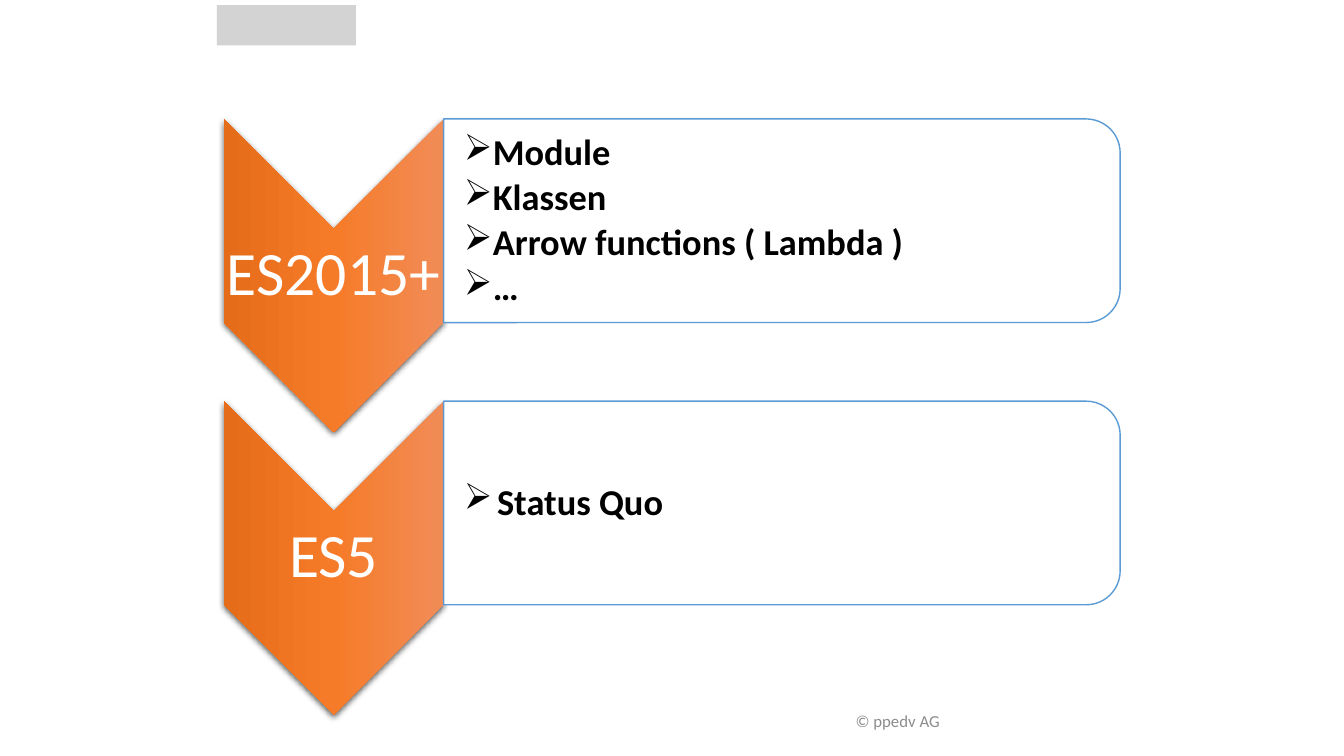
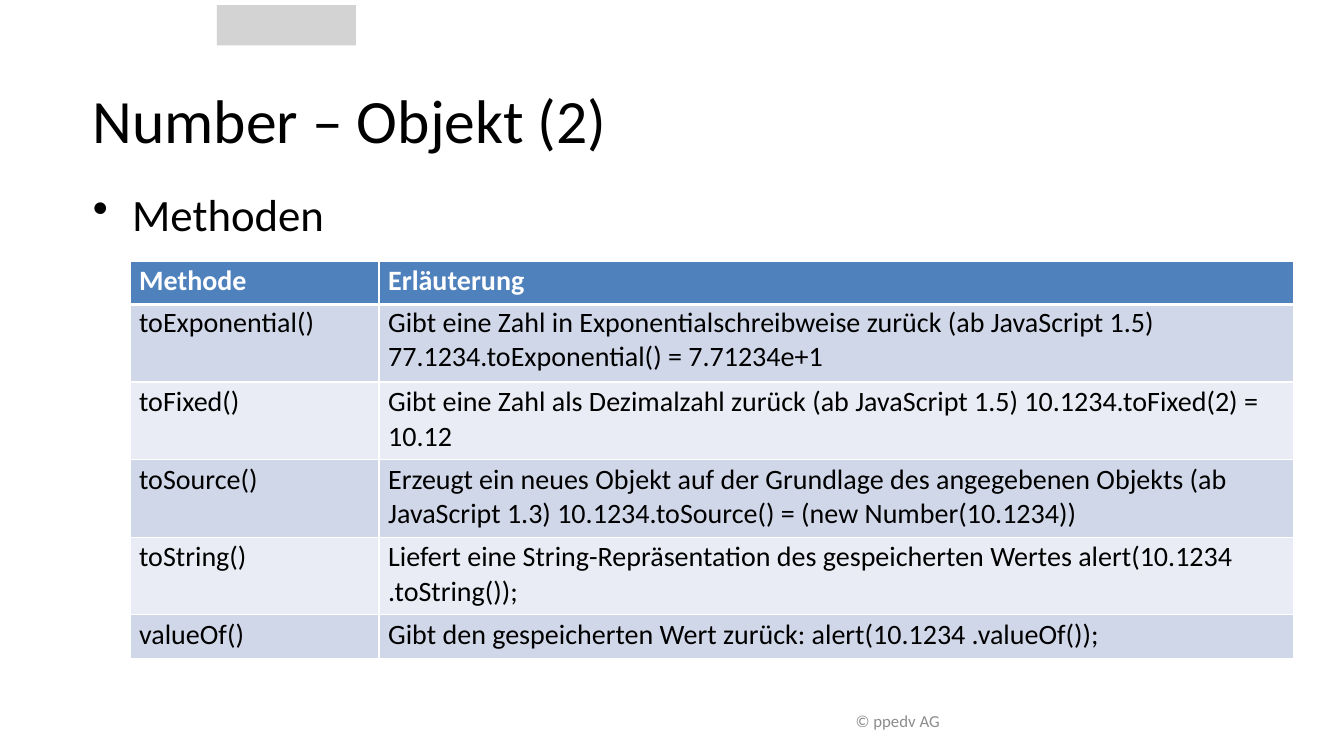
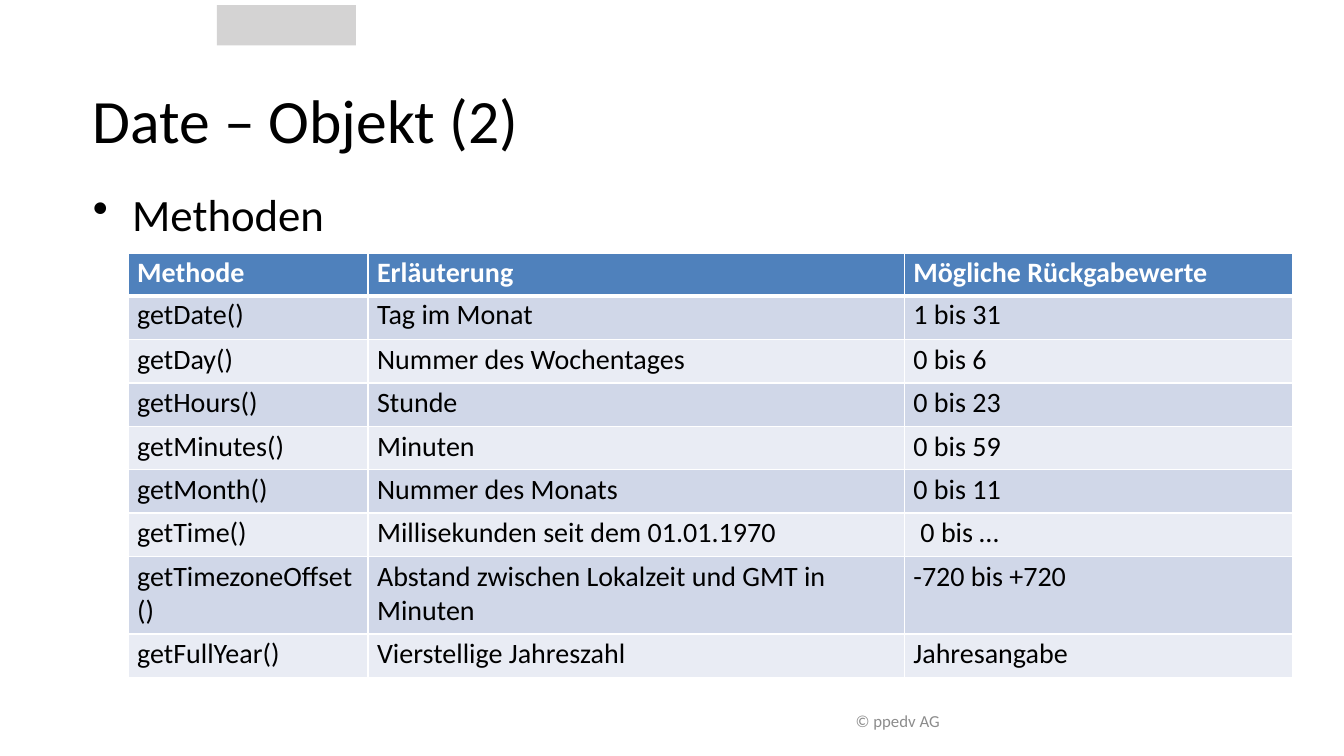
import pptx
import pptx.dml.color
import pptx.enum.shapes
import pptx.enum.text
import pptx.oxml
import pptx.oxml.ns
import pptx.util

FONT = "Calibri"
COLORS = {
    "text": "000000", "white": "FFFFFF", "footer": "8C8C8C", "tab": "D4D3D3",
    "header": "4F81BC", "odd": "D0D7E8", "even": "E9ECF4", "outline": "5B9BD5",
    "light": "F18C57", "mid": "F67B28", "dark": "E56C19",
}
FOOTER = "© ppedv AG"

VERSIONS = [
    ("ES2015+", ["Module", "Klassen", "Arrow functions ( Lambda )", "…"], 0.25),
    ("ES5", ["Status Quo"], 0.33),
]

METHOD_SLIDES = [
    {
        "title": "Number – Objekt (2)",
        "at": (1.29, 2.59),
        "cols": [2.47, 9.07],
        "two_line_rows": {1, 2, 3, 4},
        "rows": [
            ("Methode", "Erläuterung"),
            ("toExponential()", "Gibt eine Zahl in Exponentialschreibweise zurück (ab JavaScript 1.5) "
                                "77.1234.toExponential() = 7.71234e+1"),
            ("toFixed()", "Gibt eine Zahl als Dezimalzahl zurück (ab JavaScript 1.5) "
                          "10.1234.toFixed(2) = 10.12"),
            ("toSource()", "Erzeugt ein neues Objekt auf der Grundlage des angegebenen Objekts (ab\n"
                           "JavaScript 1.3) 10.1234.toSource() = (new Number(10.1234))"),
            ("toString()", "Liefert eine String-Repräsentation des gespeicherten Wertes "
                           "alert(10.1234\n.toString());"),
            ("valueOf()", "Gibt den gespeicherten Wert zurück: alert(10.1234 .valueOf());"),
        ],
    },
    {
        "title": "Date – Objekt (2)",
        "at": (1.27, 2.51),
        "cols": [2.38, 5.32, 3.85],
        "two_line_rows": {7},
        "rows": [
            ("Methode", "Erläuterung", "Mögliche Rückgabewerte"),
            ("getDate()", "Tag im Monat", "1 bis 31"),
            ("getDay()", "Nummer des Wochentages", "0 bis 6"),
            ("getHours()", "Stunde", "0 bis 23"),
            ("getMinutes()", "Minuten", "0 bis 59"),
            ("getMonth()", "Nummer des Monats", "0 bis 11"),
            ("getTime()", "Millisekunden seit dem 01.01.1970", "0 bis …"),
            ("getTimezoneOffset\n()", "Abstand zwischen Lokalzeit und GMT in\nMinuten", "-720 bis +720"),
            ("getFullYear()", "Vierstellige Jahreszahl", "Jahresangabe"),
        ],
    },
]

LEFT = 0.92
ROW_H, EXTRA_LINE = 0.43, 0.34
CELL_INDENT = {"0 bis …": 0.16}

SHAPES = pptx.enum.shapes.MSO_SHAPE
ALIGN = pptx.enum.text.PP_ALIGN
ANCHOR = pptx.enum.text.MSO_ANCHOR
inch = pptx.util.Inches
NS = pptx.oxml.ns.nsdecls("a")


def rgb(name):
    return pptx.dml.color.RGBColor.from_string(COLORS[name])


def set_bullet(p, char, indent):
    pPr = p._p.get_or_add_pPr()
    pPr.set("marL", str(inch(indent)))
    pPr.set("indent", str(-inch(indent)))
    pPr.append(pptx.oxml.parse_xml(f'<a:buChar {NS} char="{char}"/>'))


def style_text(tf, size, color="text", bold=False, align=ALIGN.LEFT):
    for p in tf.paragraphs:
        p.alignment = align
        for r in p.runs:
            r.font.name, r.font.size, r.font.bold = FONT, pptx.util.Pt(size), bold
            r.font.color.rgb = rgb(color)


def add_text(slide, box, text, size, color="text", bold=False, align=ALIGN.LEFT,
             anchor=ANCHOR.MIDDLE, margins=(0, 0, 0, 0), bullet=None):
    tf = slide.shapes.add_textbox(*map(inch, box)).text_frame
    tf.word_wrap = True
    tf.vertical_anchor = anchor
    tf.margin_left, tf.margin_top, tf.margin_right, tf.margin_bottom = map(inch, margins)
    tf.text = text
    if bullet:
        for p in tf.paragraphs:
            set_bullet(p, *bullet)
    style_text(tf, size, color, bold, align)
    return tf


def add_plain_shape(slide, kind, box, fill=None, line=None):
    sp = slide.shapes.add_shape(kind, *map(inch, box))
    sp.shadow.inherit = False
    if fill:
        sp.fill.solid()
        sp.fill.fore_color.rgb = rgb(fill)
    if line:
        sp.line.color.rgb = rgb(line)
        sp.line.width = pptx.util.Pt(1)
    else:
        sp.line.fill.background()
    return sp


def add_turned_shape(slide, kind, x, y, w, h, fill=None, line=None):
    sp = add_plain_shape(slide, kind, (x + (w - h) / 2, y + (h - w) / 2, h, w), fill, line)
    sp.rotation = 90
    return sp


def add_chevron(slide, x, y, w, h):
    sp = add_turned_shape(slide, SHAPES.CHEVRON, x, y, w, h)
    spPr = sp._element.spPr
    stops = "".join(f'<a:gs pos="{pos}"><a:srgbClr val="{COLORS[name]}"/></a:gs>'
                    for pos, name in ((0, "light"), (50000, "mid"), (100000, "dark")))
    spPr.find(pptx.oxml.ns.qn("a:prstGeom")).addnext(pptx.oxml.parse_xml(
        f'<a:gradFill {NS} rotWithShape="1"><a:gsLst>{stops}</a:gsLst>'
        '<a:lin ang="5400000" scaled="0"/></a:gradFill>'))
    spPr.find(pptx.oxml.ns.qn("a:effectLst")).append(pptx.oxml.parse_xml(
        f'<a:outerShdw {NS} blurRad="{pptx.util.Pt(4.5)}" dist="{pptx.util.Pt(1.5)}" dir="5400000" '
        'algn="ctr" rotWithShape="0"><a:srgbClr val="000000"><a:alpha val="63000"/></a:srgbClr>'
        '</a:outerShdw>'))


def add_base_slide(prs):
    slide = prs.slides.add_slide(prs.slide_layouts[6])
    add_plain_shape(slide, SHAPES.RECTANGLE, (2.15, 0.05, 1.38, 0.4), "tab")
    add_text(slide, (LEFT, 6.95, 8.5, 0.4), FOOTER, 12, "footer", align=ALIGN.RIGHT,
             margins=(0.1, 0.05, 0.1, 0.05))
    return slide


def add_versions_slide(prs):
    slide = add_base_slide(prs)
    x, chevron_w, panel_w, pitch = 2.22, 2.18, 6.71, 2.8
    panel_x = x + chevron_w
    for i, (version, features, indent) in enumerate(VERSIONS):
        y = 1.18 + i * pitch
        add_chevron(slide, x, y, chevron_w, 3.11)
        label = add_text(slide, (x, y + 1.09, chevron_w, 0.93), version, 44, "white",
                         align=ALIGN.CENTER, margins=(0.03,) * 4)
        label.paragraphs[0].line_spacing = 0.9
        add_turned_shape(slide, SHAPES.ROUND_2_SAME_RECTANGLE, panel_x, y, panel_w, 2.02,
                         "white", "outline")
        tf = add_text(slide, (panel_x, y + 0.1, 6.61, 1.83), "\n".join(features), 26, bold=True,
                      margins=(0.2, 0.02, 0.02, 0.02), bullet=("➢", indent))
        for p in tf.paragraphs:
            p.line_spacing = 0.9
            p.space_after = pptx.util.Pt(4)


def set_borders(cell, top, bottom):
    tcPr = cell._tc.get_or_add_tcPr()
    for i, (side, width) in enumerate((("L", 1), ("R", 1), ("T", top), ("B", bottom))):
        tcPr.insert(i, pptx.oxml.parse_xml(
            f'<a:ln{side} {NS} w="{pptx.util.Pt(width)}"><a:solidFill>'
            f'<a:srgbClr val="{COLORS["white"]}"/></a:solidFill></a:ln{side}>'))


def add_method_table(slide, at, cols, rows, two_line_rows):
    heights = [ROW_H + EXTRA_LINE * (i in two_line_rows) for i in range(len(rows))]
    table = slide.shapes.add_table(len(rows), len(cols), *map(inch, (*at, sum(cols), sum(heights)))).table
    for col, width in zip(table.columns, cols):
        col.width = inch(width)
    for i, texts in enumerate(rows):
        table.rows[i].height = inch(heights[i])
        header = i == 0
        for j, text in enumerate(texts):
            cell = table.cell(i, j)
            cell.margin_left = inch(CELL_INDENT.get(text, 0.09))
            cell.margin_right = cell.margin_bottom = 0
            cell.margin_top = inch(0.01 if i == 1 else 0.03)
            cell.fill.solid()
            cell.fill.fore_color.rgb = rgb("header" if header else "odd" if i % 2 else "even")
            set_borders(cell, 3 if i == 1 else 1, 3 if header else 1)
            cell.text_frame.text = text
            style_text(cell.text_frame, 20, "white" if header else "text", header)


def add_methods_slide(prs, title, **table):
    slide = add_base_slide(prs)
    add_text(slide, (LEFT, 0.5, 11.5, 1.35), title, 44)
    add_text(slide, (LEFT, 1.85, 2.31, 0.57), "Methoden", 32, anchor=ANCHOR.TOP, bullet=("•", 0.39))
    add_method_table(slide, **table)


def main():
    prs = pptx.Presentation()
    prs.slide_width, prs.slide_height = inch(13.33), inch(7.5)
    add_versions_slide(prs)
    for content in METHOD_SLIDES:
        add_methods_slide(prs, **content)
    prs.save("out.pptx")


if __name__ == "__main__":
    main()
